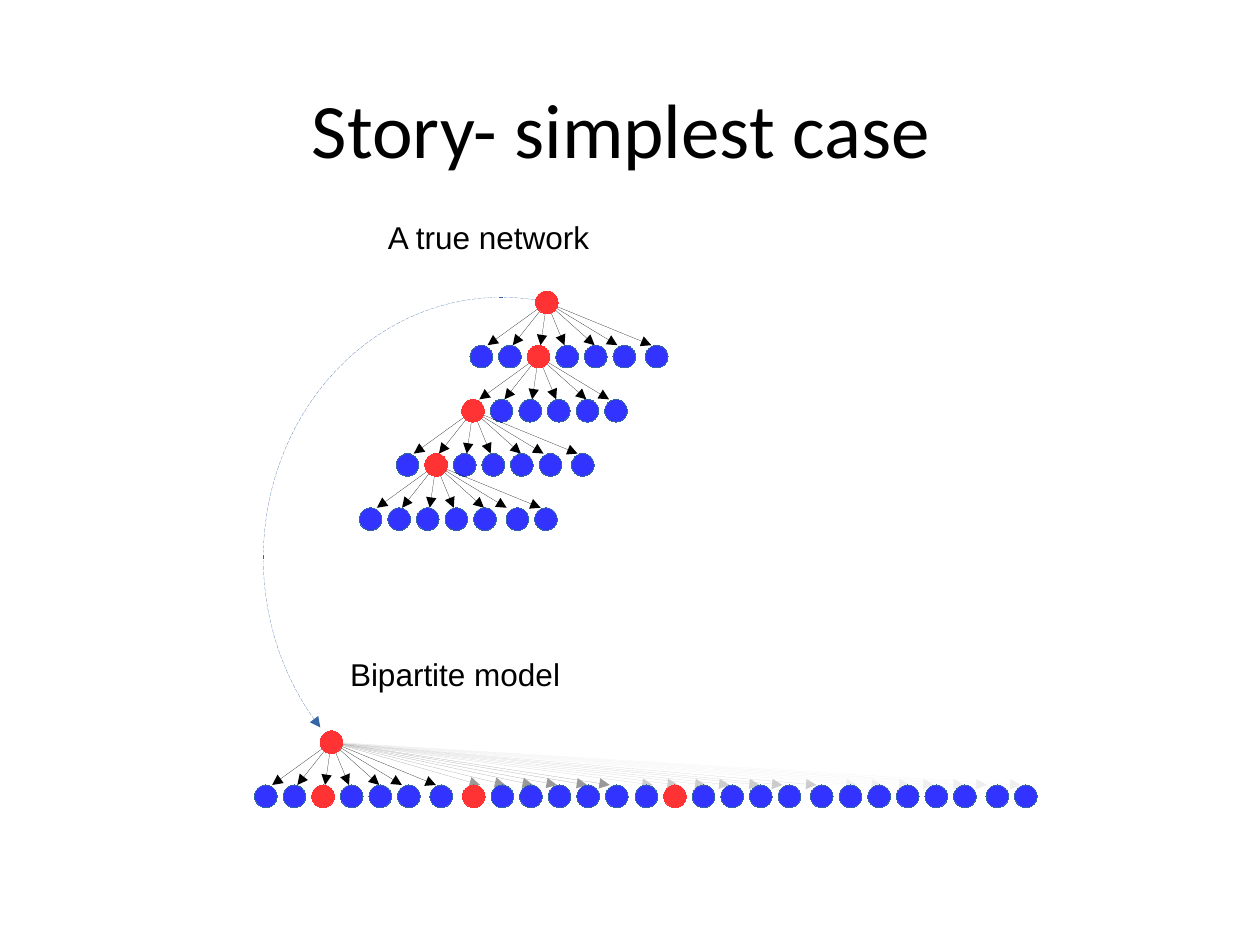
from dataclasses import dataclass

from lxml.etree import SubElement
from pptx import Presentation
from pptx.dml.color import RGBColor
from pptx.enum.dml import MSO_LINE_DASH_STYLE as Dash
from pptx.enum.shapes import MSO_CONNECTOR as Connector, MSO_SHAPE as Shape
from pptx.enum.text import MSO_ANCHOR as Anchor, PP_ALIGN as Align
from pptx.oxml.ns import qn
from pptx.util import Inches, Pt


@dataclass(frozen=True)
class Theme:
    black: str = "000000"
    blue: str = "3333FF"
    edge: str = "3465A4"
    red: str = "FF3333"
    fades: tuple = ("000000", "999999", "CCCCCC", "EEEEEE")
    title_font: str = "Calibri"
    label_font: str = "Arial"
    title_size: int = 44
    label_size: int = 18


THEME = Theme()
NODE = 0.18           # node diameter
PITCH = 0.227         # spacing of nodes in a row
EXTRA = 0.03          # wider gap before the last nodes
ROW_STEP = 0.43       # from one row to the next
FIRST_CHILD = -0.52   # first child relative to its parent
FIRST_TIP = 0.14      # first arrow tip relative to the row
TIPS = (0, 0.2, 0.42, 0.61, 0.85, 1.03, 1.3)


def apply(target, values):
    for name, value in values.items():
        setattr(target, name, value)


def color(code):
    return RGBColor.from_string(code)


def style_line(line, code):
    line.color.rgb = color(code)
    # An explicit zero gives a hairline
    line._get_or_add_ln().set("w", "0")


def add_head(shape, end):
    outline = shape.line._get_or_add_ln()
    SubElement(outline, qn(f"a:{end}"), type="triangle")


def add_text(page, box, text, font, frame_format, align=Align.LEFT):
    frame = page.shapes.add_textbox(*map(Inches, box)).text_frame
    apply(frame, {"word_wrap": True, **frame_format})
    para = frame.paragraphs[0]
    para.alignment = align
    span = para.add_run()
    span.text = text
    apply(span.font, font)
    span.font.color.rgb = color(THEME.black)


def add_title(page, box, text):
    margins = {f"margin_{side}": 0 for side in ("left", "top", "right", "bottom")}
    add_text(page, box, text,
             {"name": THEME.title_font, "size": Pt(THEME.title_size)},
             {"vertical_anchor": Anchor.MIDDLE, **margins}, Align.CENTER)


def add_label(page, box, text):
    add_text(page, box, text,
             {"name": THEME.label_font, "size": Pt(THEME.label_size)}, {})


def add_node(page, left, top, fill=THEME.blue, edge=THEME.edge):
    node = page.shapes.add_shape(
        Shape.OVAL, *map(Inches, (left, top, NODE, NODE)))
    node.shadow.inherit = False
    node.fill.solid()
    node.fill.fore_color.rgb = color(fill)
    style_line(node.line, edge)


def add_red_node(page, left, top):
    add_node(page, left, top, THEME.red, THEME.red)


def add_arrow(page, start, tip, code):
    arrow = page.shapes.add_connector(
        Connector.STRAIGHT, *map(Inches, (*start, *tip)))
    style_line(arrow.line, code)
    add_head(arrow, "tailEnd")
    SubElement(arrow._element.spPr, qn("a:effectLst"))


def add_fan(page, parent, row_left, count, gap, red, code):
    """Arrows from a parent to a row of blue nodes; returns the red one's place."""
    left, top = parent
    row_top = top + ROW_STEP
    start = (left + NODE / 2, top + NODE / 2)
    for tip in TIPS[:count]:
        add_arrow(page, start, (row_left + FIRST_TIP + tip, row_top), code)
    places = [(row_left + index * PITCH + (EXTRA if index >= gap else 0), row_top)
              for index in range(count)]
    for index, place in enumerate(places):
        if index != red:
            add_node(page, *place)
    return None if red is None else places[red]


def add_network(page, left, top):
    """Each row hangs from the red node of the row above."""
    levels = ((7, 6, 2), (6, 6, 0), (7, 6, 1), (7, 5, None))
    parent = (left, top)
    for count, gap, red in levels:
        row_left = parent[0] + FIRST_CHILD
        child = add_fan(page, parent, row_left, count, gap, red, THEME.black)
        add_red_node(page, *parent)
        parent = child


def add_bipartite(page, left, top):
    """One parent linked to all groups, fading with distance."""
    groups = ((-0.52, 7, 6, 2), (1.13, 6, 6, 0), (2.5, 7, 6, 1), (4.12, 7, 5, None))
    for (offset, count, gap, red), code in zip(groups, THEME.fades):
        child = add_fan(page, (left, top), left + offset, count, gap, red, code)
        if child:
            add_red_node(page, *child)
    add_red_node(page, left, top)


def add_link(page, box):
    """Dashed arc from the network's root to the bipartite parent."""
    arc = page.shapes.add_shape(Shape.ARC, *map(Inches, box))
    arc.shadow.inherit = False
    arc.adjustments[0] = 82.16
    arc.adjustments[1] = 166.67
    arc.fill.background()
    style_line(arc.line, THEME.edge)
    arc.line.dash_style = Dash.DASH
    arc.line._get_or_add_ln().find(qn("a:prstDash")).set("val", "sysDash")
    add_head(arc, "headEnd")


def main():
    deck = Presentation()
    apply(deck, {"slide_width": Inches(10), "slide_height": Inches(7.5)})
    page = deck.slides.add_slide(deck.slide_layouts[6])
    add_title(page, (0.68, 0.21, 8.5, 1.61), "Story- simplest case")
    # True network
    add_network(page, 4.25, 2.31)
    add_label(page, (2.98, 1.68, 1.81, 0.38), "A true network")
    # Bipartite model
    add_bipartite(page, 2.54, 5.8)
    add_label(page, (2.68, 5.15, 1.9, 0.38), "Bipartite model")
    add_link(page, (2.09, 2.36, 3.78, 4.14))
    deck.save("out.pptx")


if __name__ == "__main__":
    main()
